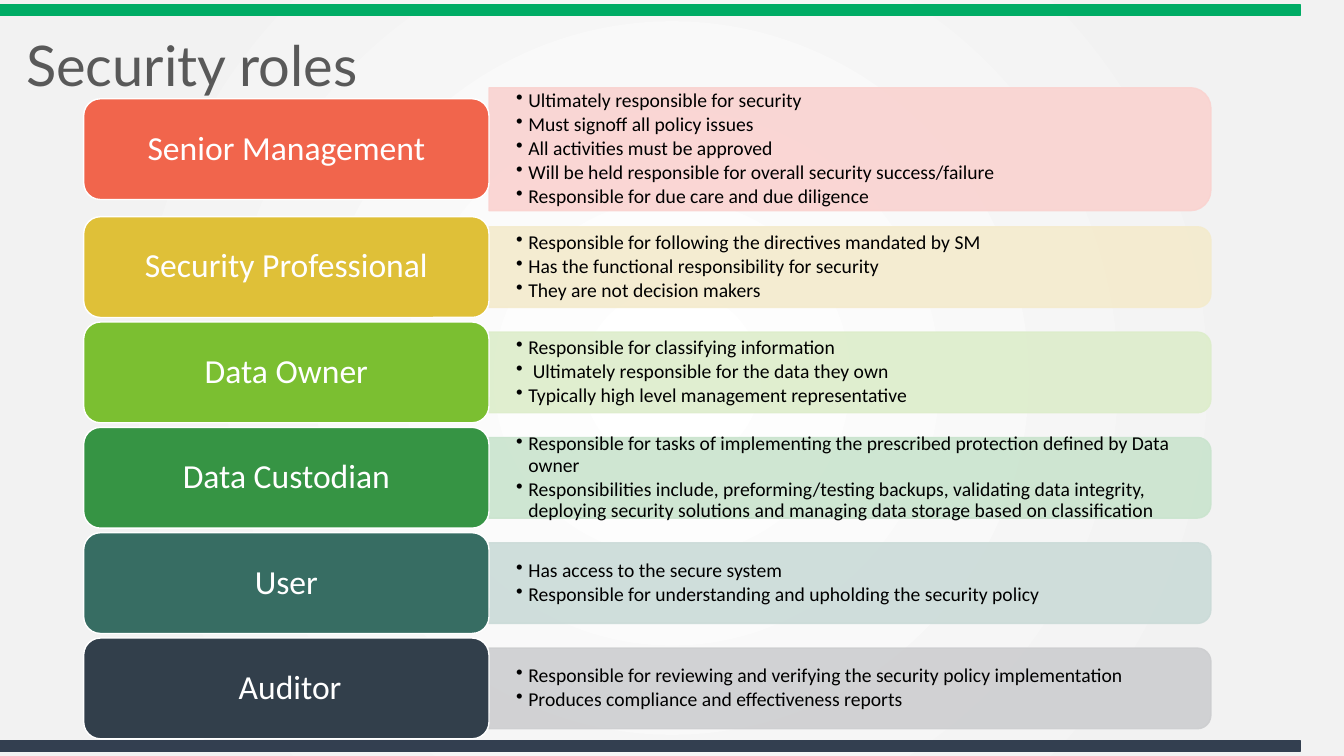
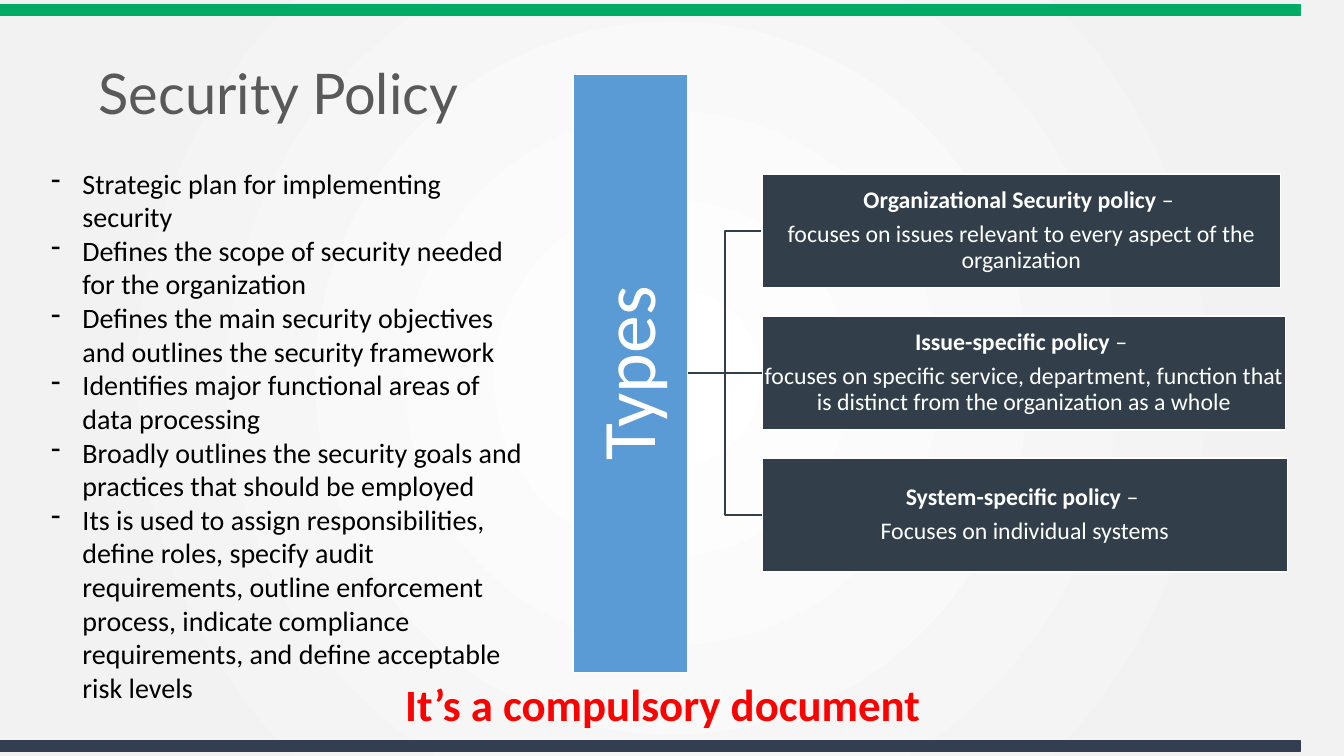
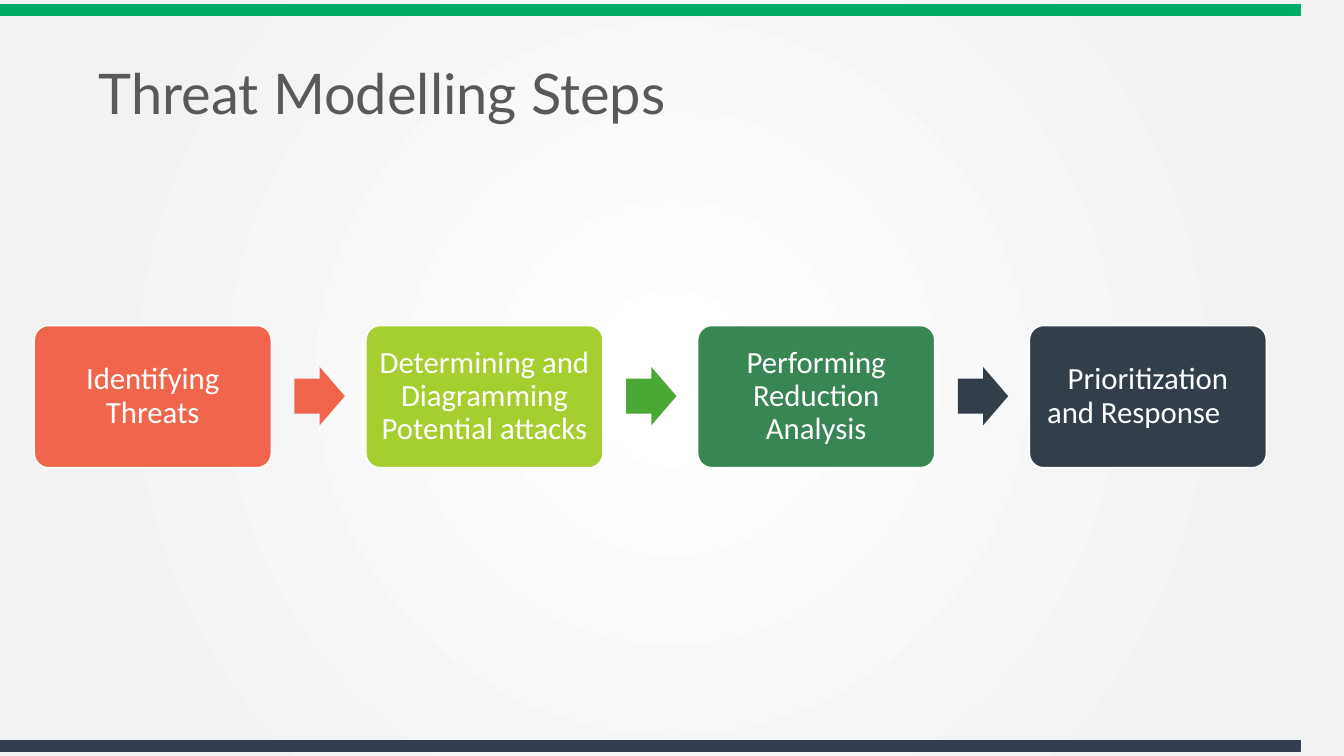
"""Build three slides on security roles, security policy and threat modelling."""
from pptx import Presentation
from pptx.dml.color import RGBColor
from pptx.enum.shapes import MSO_CONNECTOR as LINK, MSO_SHAPE as SHAPE
from pptx.enum.text import MSO_ANCHOR, PP_ALIGN as ALIGN
from pptx.oxml import parse_xml
from pptx.oxml.ns import nsdecls, qn
from pptx.util import Inches, Pt

hex_color = RGBColor.from_string
WHITE, BLACK, RED = "FFFFFF", "000000", "FF0000"
CORAL, SLATE, BLUE = "F1654C", "323F4B", "5B9BD5"
GREEN_BAND, NAVY_BAND = "00AC65", "333F50"


def draw(slide, kind, box, fill, border=None):
    shape = slide.shapes.add_shape(kind, *map(Inches, box))
    shape.shadow.inherit = False
    shape.fill.solid()
    shape.fill.fore_color.rgb = hex_color(fill)
    if border:
        shape.line.color.rgb = hex_color(border)
        shape.line.width = Pt(1)
    else:
        shape.line.fill.background()
    return shape


def write(shape, lines, size, color=WHITE, align=ALIGN.CENTER, inset=(0.1, 0.05),
          spacing=0.9, after=0, bullet=None, indent=0):
    frame = shape.text_frame
    frame.word_wrap = True
    frame.vertical_anchor = MSO_ANCHOR.MIDDLE
    frame.margin_left = frame.margin_right = Inches(inset[0])
    frame.margin_top = frame.margin_bottom = Inches(inset[1])
    for number, line in enumerate(lines):
        paragraph = frame.add_paragraph() if number else frame.paragraphs[0]
        paragraph.alignment = align
        paragraph.line_spacing = spacing
        paragraph.space_after = Pt(after)
        if bullet:
            properties = paragraph._p.get_or_add_pPr()
            properties.set("marL", str(Inches(indent)))
            properties.set("indent", str(-Inches(indent)))
            properties.append(parse_xml(f'<a:buChar {nsdecls("a")} char="{bullet}"/>'))
        for words in [line] if isinstance(line, str) else line:
            run = paragraph.add_run()
            run.text = words
            run.font.name = "Calibri"
            run.font.size = Pt(size)
            run.font.color.rgb = hex_color(color)


deck = Presentation()
deck.slide_width, deck.slide_height = Inches(13.33), Inches(7.5)
master = deck.slide_master
title_only = deck.slide_layouts[5]

master.background.fill.solid()
plain = master.element.find(".//" + qn("p:bgPr")).find(qn("a:solidFill"))
plain.getparent().replace(plain, parse_xml(
    f'<a:gradFill {nsdecls("a")} rotWithShape="1"><a:gsLst>'
    '<a:gs pos="0"><a:srgbClr val="FFFFFF"/></a:gs>'
    '<a:gs pos="81000"><a:srgbClr val="F2F2F2"/></a:gs>'
    '<a:gs pos="100000"><a:srgbClr val="F2F2F2"/></a:gs></a:gsLst>'
    '<a:path path="circle"><a:fillToRect l="50000" t="50000" r="50000" b="50000"/></a:path>'
    '</a:gradFill>'))

title_style = master.element.find(".//" + qn("p:titleStyle"))
title_style.replace(title_style.find(qn("a:lvl1pPr")), parse_xml(
    f'<a:lvl1pPr {nsdecls("a")} algn="l"><a:lnSpc><a:spcPct val="90000"/></a:lnSpc>'
    '<a:buNone/><a:defRPr sz="4000"><a:solidFill><a:srgbClr val="595959"/></a:solidFill>'
    '<a:latin typeface="Lato"/></a:defRPr></a:lvl1pPr>'))

heading = title_only.placeholders[0]
heading.left, heading.top = Inches(0.88), Inches(0.56)
heading.width, heading.height = Inches(11.7), Inches(0.8)
heading.text_frame.vertical_anchor = MSO_ANCHOR.MIDDLE

slides = []
for title in ("Security roles", "Security Policy", "Threat Modelling Steps"):
    slide = deck.slides.add_slide(title_only)
    slide.shapes.title.text_frame.text = title
    slides.append(slide)
roles_slide, policy_slide, threat_slide = slides

for number, (top, color) in enumerate([(0.05, GREEN_BAND), (7.35, NAVY_BAND)]):
    band = draw(roles_slide, SHAPE.RECTANGLE, (0, top, 12.9, 0.1), color, color)
    band.element.nvSpPr.cNvPr.set("id", str(20 + number))
    master.shapes.element.insert(2 + number, band.element)

roles_title = roles_slide.shapes.title
roles_title.left, roles_title.top = Inches(0.16), Inches(0.28)
roles_title.width, roles_title.height = Inches(11.7), Inches(0.8)

roles = [
    ("Senior Management", CORAL, "FAD3D0", [
        "Ultimately responsible for security",
        "Must signoff all policy issues",
        "All activities must be approved",
        "Will be held responsible for overall security success/failure",
        "Responsible for due care and due diligence"]),
    ("Security Professional", "DFC038", "F4EBCD", [
        "Responsible for following the directives mandated by SM",
        "Has the functional responsibility for security",
        "They are not decision makers"]),
    ("Data Owner", "7BBF31", "DDEDCB", [
        "Responsible for classifying information",
        " Ultimately responsible for the data they own",
        "Typically high level management representative"]),
    ("Data Custodian", "369444", "CAE4CE", [
        "Responsible for tasks of implementing the prescribed protection defined by Data owner",
        "Responsibilities include, preforming/testing backups, validating data integrity, "
        "deploying security solutions and managing data storage based on classification"]),
    ("User", "376D63", "CBDBD8", [
        "Has access to the secure system",
        "Responsible for understanding and upholding the security policy"]),
    (" Auditor", SLATE, "CDCED0", [
        "Responsible for reviewing and verifying the security policy implementation",
        "Produces compliance and effectiveness reports"]),
]
role_step = (6.83 - 2.65) / 4
duty_left, duty_width = 4.85, 7.16
for number, (role, color, pale, duties) in enumerate(roles):
    middle = 2.65 + (number - 1) * role_step if number else 1.48
    duty_height = 0.8 if number else 1.22
    panel = draw(roles_slide, SHAPE.ROUND_2_SAME_RECTANGLE,
                 (duty_left + (duty_width - duty_height) / 2, middle - duty_width / 2,
                  duty_height, duty_width), pale, pale)
    panel.rotation = 90
    for tint in panel.element.spPr.iter(qn("a:srgbClr")):
        tint.append(parse_xml(f'<a:alpha {nsdecls("a")} val="90000"/>'))
    duty_list = roles_slide.shapes.add_textbox(
        Inches(duty_left), Inches(middle - duty_height / 2), Inches(7.12), Inches(duty_height))
    write(duty_list, duties, 14, BLACK, ALIGN.LEFT, (0.27, 0.14), after=2, bullet="•", indent=0.12)
    role_button = draw(roles_slide, SHAPE.ROUNDED_RECTANGLE,
                       (0.83, middle - 0.5, 4.02, 1), color, WHITE)
    write(role_button, [role], 24)

aims = [
    "Strategic plan for implementing security",
    "Defines the scope of security needed for the organization",
    "Defines the main security objectives and outlines the security framework",
    "Identifies major functional areas of data processing",
    "Broadly outlines the security goals and practices that should be employed",
    "Its is used to assign responsibilities, define roles, specify audit requirements, "
    "outline enforcement process, indicate compliance requirements, and define acceptable "
    "risk levels",
]
aim_list = policy_slide.shapes.add_textbox(Inches(0.41), Inches(1.57), Inches(4.98), Inches(5.49))
write(aim_list, aims, 20, BLACK, ALIGN.LEFT, spacing=1, bullet="-", indent=0.31)
reminder = policy_slide.shapes.add_textbox(Inches(3.92), Inches(6.66), Inches(7.03), Inches(0.64))
write(reminder, ["It’s a compulsory document"], 32, RED, ALIGN.LEFT, spacing=1)
reminder.text_frame.paragraphs[0].runs[0].font.bold = True

policies = [
    ("Organizational Security policy ", 5.14,
     "focuses on issues relevant to every aspect of the organization"),
    ("Issue-specific policy ", 5.19,
     "focuses on specific service, department, function that is distinct from the "
     "organization as a whole"),
    ("System-specific policy ", 5.21, "Focuses on individual systems"),
]
types_middle, policy_step, policy_height = 3.7, 1.41, 1.13
for number, (policy, width, focus) in enumerate(policies):
    middle = types_middle + (number - 1) * policy_step
    branch = policy_slide.shapes.add_connector(
        LINK.STRAIGHT if number == 1 else LINK.ELBOW,
        Inches(6.82), Inches(types_middle), Inches(7.56), Inches(middle))
    branch.line.color.rgb = hex_color(SLATE)
    branch.line.width = Pt(1)
    branch.element.spPr.append(parse_xml(f'<a:effectLst {nsdecls("a")}/>'))
    policy_box = draw(policy_slide, SHAPE.RECTANGLE,
                      (7.56, middle - policy_height / 2, width, policy_height), SLATE, WHITE)
    write(policy_box, [(policy, "– "), focus], 17, inset=(0.01, 0.01), after=6)
    policy_box.text_frame.paragraphs[0].runs[0].font.bold = True
types_bar = draw(policy_slide, SHAPE.RECTANGLE, (3.29, 3.14, 5.93, 1.13), BLUE, WHITE)
types_bar.rotation = 270
write(types_bar, ["Types"], 54, inset=(0.04, 0.04))

steps = [
    ("Identifying Threats", CORAL, CORAL),
    ("Determining and Diagramming Potential attacks", "A5CF2E", "4AA934"),
    ("Performing Reduction Analysis", "378654", SLATE),
    ("Prioritization and Response\t", SLATE, None),
]
for number, (step, color, arrow_color) in enumerate(steps):
    left = 0.34 + number * 3.29
    step_box = draw(threat_slide, SHAPE.ROUNDED_RECTANGLE, (left, 3.23, 2.35, 1.41), color, WHITE)
    step_box.adjustments[0] = 0.1
    write(step_box, [step], 22, inset=(0.09, 0.09))
    if arrow_color:
        arrow = draw(threat_slide, SHAPE.RIGHT_ARROW, (left + 2.58, 3.64, 0.5, 0.58), arrow_color)
        arrow.adjustments[0] = 0.6

deck.save("out.pptx")
